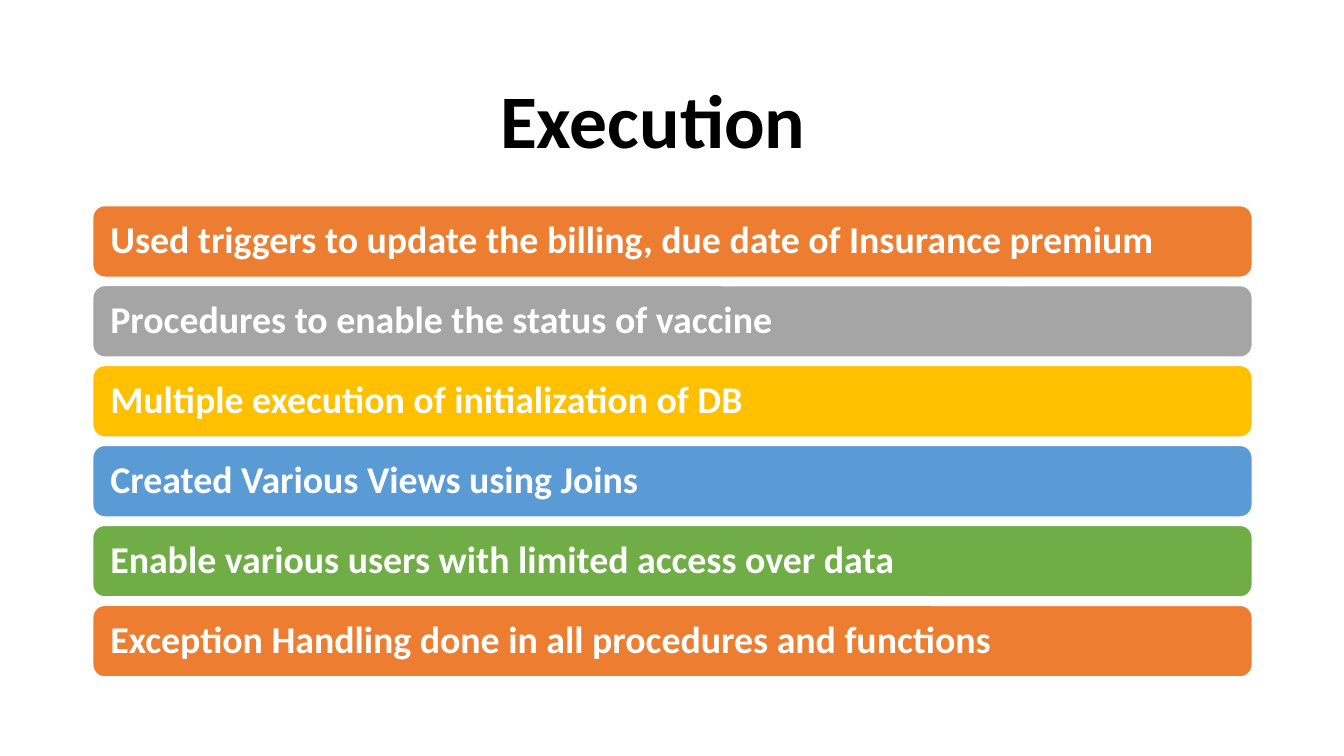
from pptx import Presentation
from pptx.dml.color import RGBColor
from pptx.enum.shapes import MSO_SHAPE
from pptx.enum.text import MSO_ANCHOR, PP_ALIGN
from pptx.util import Inches, Pt

ROUNDED = MSO_SHAPE.ROUNDED_RECTANGLE
MIDDLE = MSO_ANCHOR.MIDDLE
LEFT = PP_ALIGN.LEFT

BAR_LEFT = 0.92
BAR_WIDTH = 11.5
BAR_TOP = 2.04
BAR_HEIGHT = 0.71
BAR_STEP = 0.793

STEPS = [
    ("Used triggers to update the billing, due date of Insurance premium", "ED7D31"),
    ("Procedures to enable the status of vaccine", "A5A5A5"),
    ("Multiple execution of initialization of DB", "FFC000"),
    ("Created Various Views using Joins", "5B9BD5"),
    ("Enable various users with limited access over data", "70AD47"),
    ("Exception Handling done in all procedures and functions", "ED7D31"),
]


def rgb(value):
    return RGBColor.from_string(value)


def write_text(shape, text, size, color, margin_left):
    text_frame = shape.text_frame
    text_frame.text = text
    text_frame.word_wrap = True
    text_frame.vertical_anchor = MIDDLE
    text_frame.margin_left = Inches(margin_left)
    paragraph = text_frame.paragraphs[0]
    paragraph.alignment = LEFT
    paragraph.line_spacing = 0.9
    font = paragraph.runs[0].font
    font.name = "Calibri"
    font.size = Pt(size)
    font.bold = True
    font.color.rgb = rgb(color)


presentation = Presentation()
presentation.slide_width = Inches(13.33)
presentation.slide_height = Inches(7.5)
slide = presentation.slides.add_slide(presentation.slide_layouts[5])

title = slide.shapes.title
title.left, title.top = Inches(BAR_LEFT), Inches(0.61)
title.width, title.height = Inches(BAR_WIDTH), Inches(1.24)
write_text(title, "Execution", 54, "000000", 4.04)

for index, (text, color) in enumerate(STEPS):
    bar = slide.shapes.add_shape(
        ROUNDED,
        Inches(BAR_LEFT),
        Inches(BAR_TOP + index * BAR_STEP),
        Inches(BAR_WIDTH),
        Inches(BAR_HEIGHT),
    )
    bar.shadow.inherit = False
    bar.fill.solid()
    bar.fill.fore_color.rgb = rgb(color)
    bar.line.color.rgb = rgb("FFFFFF")
    bar.line.width = Pt(1)
    write_text(bar, text, 27, "FFFFFF", 0.14)

presentation.save("out.pptx")
